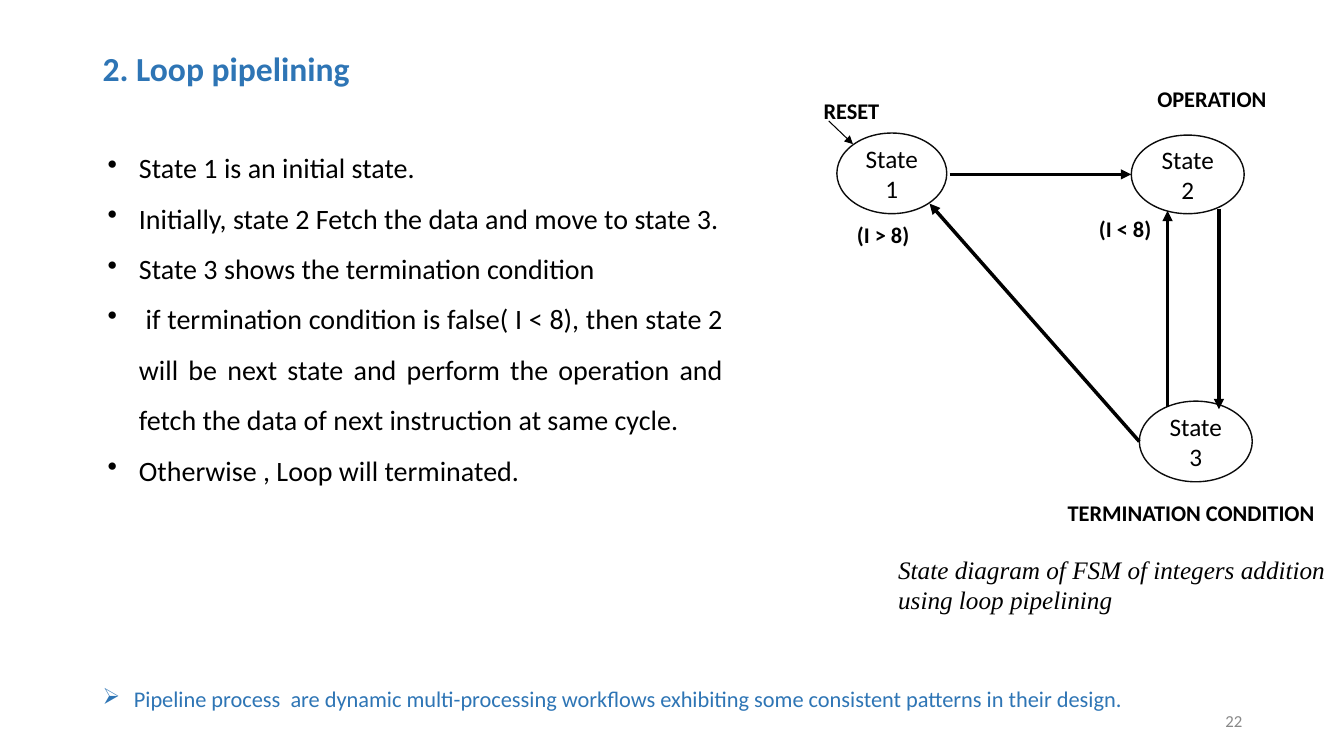
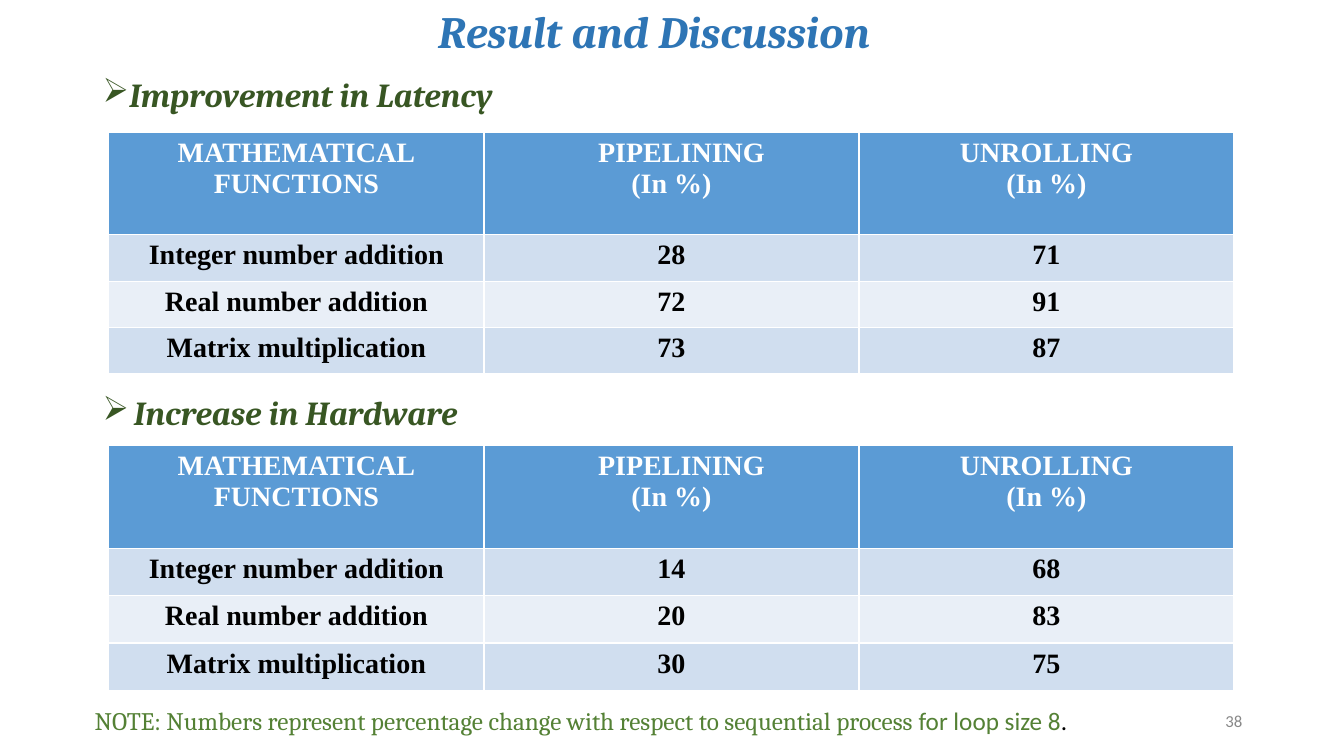
"""Builds a loop pipelining slide and a results slide."""
import pptx
import pptx.dml.color
import pptx.enum.shapes
import pptx.enum.text
import pptx.oxml.ns
import pptx.util
from lxml import etree

Inches = pptx.util.Inches
Pt = pptx.util.Pt
RGBColor = pptx.dml.color.RGBColor
ALIGN = pptx.enum.text.PP_ALIGN
ANCHOR = pptx.enum.text.MSO_ANCHOR
SHAPE = pptx.enum.shapes.MSO_SHAPE
STRAIGHT = pptx.enum.shapes.MSO_CONNECTOR.STRAIGHT
qn = pptx.oxml.ns.qn

BLUE = RGBColor(0x2E, 0x75, 0xB5)
DARK_GREEN = RGBColor(0x38, 0x56, 0x23)
GREEN = RGBColor(0x54, 0x81, 0x35)
GREY = RGBColor(0x88, 0x88, 0x88)
BLACK = RGBColor(0, 0, 0)
INK = RGBColor(0x0C, 0x0C, 0x0C)
WHITE = RGBColor(0xFF, 0xFF, 0xFF)
HEADER_FILL = RGBColor(0x5B, 0x9B, 0xD5)
BAND_FILLS = [RGBColor(0xD0, 0xDE, 0xEF), RGBColor(0xE9, 0xEF, 0xF7)]

HEADING = dict(name="Calibri", size=24, color=BLUE, bold=True)
TITLE = dict(name="Cambria", size=32, color=BLUE, bold=True, italic=True)
SUBTITLE = dict(name="Cambria", size=24, color=DARK_GREEN, bold=True, italic=True)
BODY = dict(name="Calibri", size=20, color=BLACK)
TAKEAWAY = dict(name="Calibri", size=16, color=BLUE)
LABEL = dict(name="Calibri", size=16, color=BLACK, bold=True)
STATE = dict(name="Calibri", size=18, color=BLACK)
CAPTION = dict(name="Times New Roman", size=18, color=BLACK, italic=True)
NUMBER = dict(name="Calibri", size=12, color=GREY)
NOTE = dict(name="Cambria", size=18, color=GREEN)
TABLE_HEAD = dict(name="Times New Roman", size=20, color=WHITE, bold=True)
TABLE_BODY = dict(TABLE_HEAD, color=BLACK)

POINTS = [
    "State 1 is an initial state.",
    "Initially, state 2 Fetch the data and move to state 3.",
    "State 3 shows the termination condition",
    " if termination condition is false( I < 8), then state 2 will be next state and "
    "perform the operation and fetch the data of next instruction at same cycle.",
    "Otherwise , Loop will terminated.",
]
SUMMARY = ("Pipeline process  are dynamic multi-processing workflows exhibiting "
           "some consistent patterns in their design.")
STATES = [
    ("State 1", (8.3, 1.32, 1.09, 0.8)),
    ("State 2", (11.22, 1.34, 1.12, 0.78)),
    ("State 3", (11.3, 3.98, 1.12, 0.8)),
]
TRANSITIONS = [
    ((9.42, 1.73), (11.22, 1.73), 2.5),
    ((12.09, 2.07), (12.09, 4.06), 2.5),
    ((11.58, 4.04), (11.58, 2.09), 2.5),
    ((11.3, 4.38), (9.22, 2.02), 2.5),
    ((8.22, 1.2), (8.46, 1.43), 0.75),
]
LABELS = [
    ("RESET", (8.07, 0.91, 1.76, 0.37)),
    ("OPERATION", (11.38, 0.8, 1.9, 0.37)),
    ("TERMINATION CONDITION", (10.49, 4.9, 2.68, 0.37)),
    ("(I < 8)", (10.8, 2.09, 0.82, 0.37)),
    ("(I > 8)", (8.4, 2.14, 0.82, 0.37)),
]

HEADERS = [("MATHEMATICAL", "FUNCTIONS"), ("PIPELINING", "(In %)"), ("UNROLLING", "(In %)")]
FUNCTIONS = ["Integer number addition", "Real number addition", "Matrix multiplication"]
RESULTS = [
    ("Improvement in Latency", (0.92, 0.73, 11.5, 0.5), dict(hang=0.25, spacing=0.9),
     1.31, 0.46, [(28, 71), (72, 91), (73, 87)]),
    ("Increase in Hardware", (0.92, 3.84, 5.02, 0.5), dict(hang=0.31),
     4.42, 0.47, [(14, 68), (20, 83), (30, 75)]),
]
NOTE_RUNS = [
    ("NOTE: Numbers represent percentage change with respect to sequential process ", NOTE),
    ("for loop size 8", dict(NOTE, name="Calibri")),
    (".", dict(NOTE, name="Calibri", color=BLACK)),
]


def add_run(p, text, style):
    r = p.add_run()
    r.text = text
    for key, value in style.items():
        if key == "color":
            r.font.color.rgb = value
        else:
            setattr(r.font, key, Pt(value) if key == "size" else value)


def add_bullet(p, char, hang, color):
    pPr = p._p.get_or_add_pPr()
    pPr.set("marL", str(Inches(hang)))
    pPr.set("indent", str(-Inches(hang)))
    buClr = etree.SubElement(pPr, qn("a:buClr"))
    etree.SubElement(buClr, qn("a:srgbClr")).set("val", str(color))
    etree.SubElement(pPr, qn("a:buChar")).set("char", char)


def fill_text(tf, lines, style, align=ALIGN.LEFT, spacing=None, bullet=None, hang=0.31):
    for i, line in enumerate(lines):
        p = tf.paragraphs[0] if i == 0 else tf.add_paragraph()
        if bullet:
            add_bullet(p, bullet, hang, style["color"])
        p.alignment = align
        p.line_spacing = spacing
        runs = [(line, style)] if isinstance(line, str) else line
        for text, run_style in runs:
            add_run(p, text, run_style)


def add_text(s, box, lines, style, anchor=ANCHOR.TOP, **layout):
    tf = s.shapes.add_textbox(*map(Inches, box)).text_frame
    tf.word_wrap = True
    tf.vertical_anchor = anchor
    fill_text(tf, lines, style, **layout)


def add_slide(prs, number):
    s = prs.slides.add_slide(prs.slide_layouts[6])
    add_text(s, (9.42, 6.95, 3, 0.4), [number], NUMBER, ANCHOR.MIDDLE, align=ALIGN.RIGHT)
    return s


def add_state(s, name, box):
    sp = s.shapes.add_shape(SHAPE.OVAL, *map(Inches, box))
    sp.shadow.inherit = False
    sp.fill.solid()
    sp.fill.fore_color.rgb = WHITE
    sp.line.color.rgb = INK
    sp.line.width = Pt(1)
    sp.text_frame.word_wrap = True
    sp.text_frame.vertical_anchor = ANCHOR.MIDDLE
    fill_text(sp.text_frame, [name], STATE, align=ALIGN.CENTER)


def add_arrow(s, start, end, width):
    c = s.shapes.add_connector(STRAIGHT, *map(Inches, start + end))
    c.line.color.rgb = BLACK
    c.line.width = Pt(width)
    etree.SubElement(c.line._get_or_add_ln(), qn("a:tailEnd")).set("type", "triangle")
    etree.SubElement(c._element.spPr, qn("a:effectLst"))


def add_results_table(s, top, row_height, values):
    heights = [1.02] + [row_height] * len(values)
    table = s.shapes.add_table(len(heights), len(HEADERS), Inches(1.08), Inches(top),
                               Inches(3.72 * len(HEADERS)), Inches(sum(heights))).table
    rows = [HEADERS] + [[(name,)] + [(str(v),) for v in pair]
                        for name, pair in zip(FUNCTIONS, values)]
    for i, (row, height) in enumerate(zip(rows, heights)):
        table.rows[i].height = Inches(height)
        for j, lines in enumerate(row):
            cell = table.cell(i, j)
            cell.fill.solid()
            cell.fill.fore_color.rgb = BAND_FILLS[(i - 1) % 2] if i else HEADER_FILL
            fill_text(cell.text_frame, lines, TABLE_BODY if i else TABLE_HEAD,
                      align=ALIGN.CENTER)
    pipelining = table.cell(0, 1).text_frame.paragraphs[0]
    pipelining._p.get_or_add_pPr().set("marL", str(Inches(0.2)))


def build_pipelining(prs):
    s = add_slide(prs, "22")
    add_text(s, (0.92, 0.47, 7, 0.5), ["2. Loop pipelining"], HEADING, spacing=0.9)
    for name, box in STATES:
        add_state(s, name, box)
    for transition in TRANSITIONS:
        add_arrow(s, *transition)
    for text, box in LABELS:
        add_text(s, box, [text], LABEL)
    add_text(s, (8.81, 5.45, 4.5, 0.71),
             ["State diagram of FSM of integers addition using loop pipelining"], CAPTION)
    add_text(s, (0.97, 1.28, 6.3, 3.64), POINTS, BODY,
             align=ALIGN.JUSTIFY, spacing=1.5, bullet="•")
    add_text(s, (0.92, 6.75, 11.33, 0.4), [SUMMARY], TAKEAWAY, bullet="➢")


def build_results(prs):
    s = add_slide(prs, "38")
    add_text(s, (0.74, -0.06, 11.5, 0.79), ["Result and Discussion"], TITLE,
             ANCHOR.MIDDLE, align=ALIGN.CENTER, spacing=0.9)
    for heading, box, layout, top, row_height, values in RESULTS:
        add_text(s, box, [heading], SUBTITLE, bullet="➢", **layout)
        add_results_table(s, top, row_height, values)
    add_text(s, (0.84, 6.95, 10.5, 0.4), [NOTE_RUNS], NOTE)


def main():
    prs = pptx.Presentation()
    prs.slide_width = Inches(13.33)
    prs.slide_height = Inches(7.5)
    build_pipelining(prs)
    build_results(prs)
    prs.save("out.pptx")


if __name__ == "__main__":
    main()
